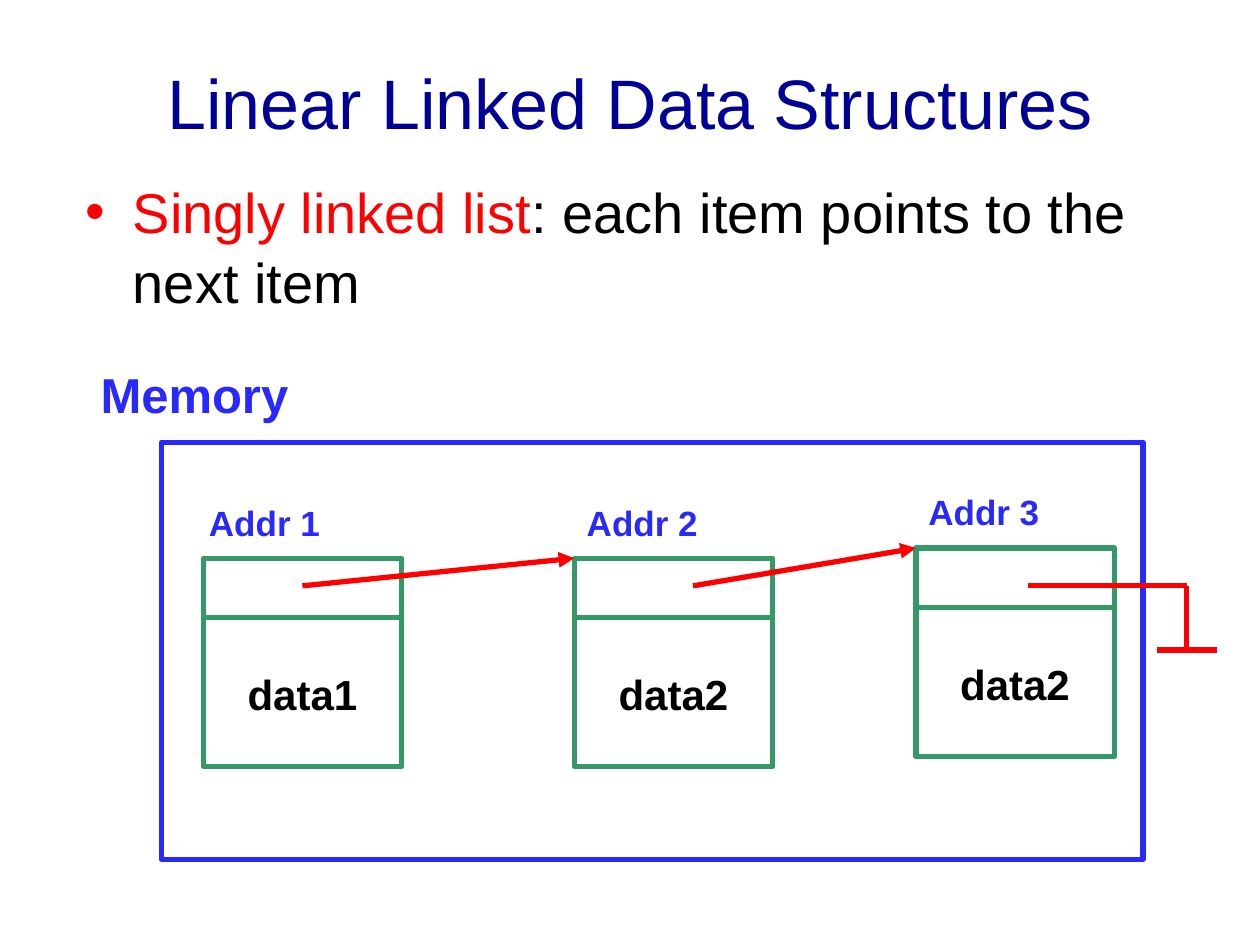
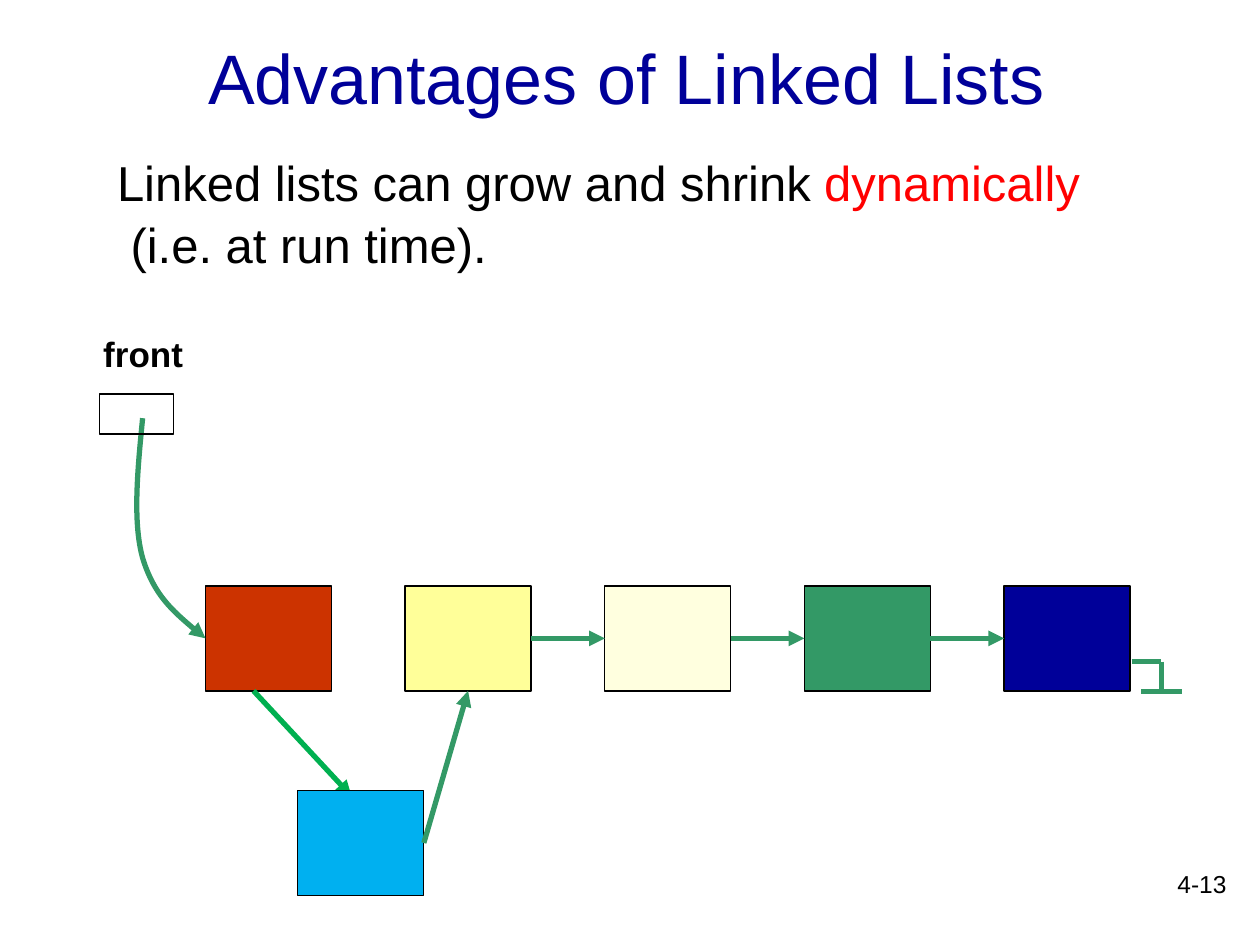
from lxml import etree
from pptx import Presentation
from pptx.dml.color import RGBColor
from pptx.enum.shapes import MSO_CONNECTOR, MSO_SHAPE
from pptx.enum.text import MSO_ANCHOR, PP_ALIGN
from pptx.oxml.ns import qn
from pptx.util import Pt

STRAIGHT = MSO_CONNECTOR.STRAIGHT
RECTANGLE = MSO_SHAPE.RECTANGLE
LEFT, CENTER, RIGHT = PP_ALIGN.LEFT, PP_ALIGN.CENTER, PP_ALIGN.RIGHT
TOP, MIDDLE = MSO_ANCHOR.TOP, MSO_ANCHOR.MIDDLE
SIDE_LEFT, SIDE_BOTTOM, SIDE_RIGHT = 1, 2, 3

FONT = "Arial"
NAVY, BLUE, GREEN = "000099", "2929FF", "339966"
RED, BLACK = "FF0000", "000000"
LINE_SPACING = 1.05
HEAVY, THIN = 3, 0.75


def color(hex_string):
    return RGBColor.from_string(hex_string)


def add_text(slide, box, paragraphs, size, bold=False, align=LEFT, anchor=TOP, wrap=True):
    frame = slide.shapes.add_textbox(*map(Pt, box)).text_frame
    frame_format = {"word_wrap": wrap, "vertical_anchor": anchor}
    for name, value in frame_format.items():
        setattr(frame, name, value)
    for index, runs in enumerate(paragraphs):
        paragraph = frame.paragraphs[0] if index == 0 else frame.add_paragraph()
        paragraph.alignment = align
        paragraph.line_spacing = LINE_SPACING
        for words, hue in runs:
            run = paragraph.add_run()
            run.text = words
            run_format = {"name": FONT, "size": Pt(size), "bold": bold}
            for name, value in run_format.items():
                setattr(run.font, name, value)
            run.font.color.rgb = color(hue)
    return frame


def add_label(slide, box, words, size, hue):
    add_text(slide, box, [[(words, hue)]], size, bold=True, wrap=False)


def add_title(slide, box, words):
    add_text(slide, box, [[(words, NAVY)]], 40, align=CENTER, anchor=MIDDLE)


def style_shape(shape, line_hue, width, fill=None):
    shape.shadow.inherit = False
    if fill:
        shape.fill.solid()
        shape.fill.fore_color.rgb = color(fill)
    else:
        shape.fill.background()
    shape.line.color.rgb = color(line_hue)
    shape.line.width = Pt(width)


def add_box(slide, box, line_hue, width, fill=None):
    shape = slide.shapes.add_shape(RECTANGLE, *map(Pt, box))
    style_shape(shape, line_hue, width, fill)
    return shape


def add_arrowhead(stroke):
    etree.SubElement(stroke.get_or_add_ln(), qn("a:tailEnd"), type="triangle")


def add_line(slide, start, end, hue, arrow=False):
    connector = slide.shapes.add_connector(STRAIGHT, *map(Pt, (*start, *end)))
    connector.line.color.rgb = color(hue)
    connector.line.width = Pt(HEAVY)
    if arrow:
        add_arrowhead(connector)
    etree.SubElement(connector._element.spPr, qn("a:effectLst"))
    return connector


def join(slide, source, source_side, target, target_side):
    link = add_line(slide, (0, 0), (0, 0), GREEN, arrow=True)
    link.begin_connect(source, source_side)
    link.end_connect(target, target_side)


def add_null_end(slide, start, run, drop, bar, hue):
    x, y = start
    corner, foot = (x + run, y), (x + run, y + drop)
    add_line(slide, start, corner, hue)
    add_line(slide, corner, foot, hue)
    add_line(slide, (foot[0] - bar / 2, foot[1]), (foot[0] + bar / 2, foot[1]), hue)


def add_curve(slide, points, hue):
    start, *rest = [tuple(map(Pt, point)) for point in points]
    builder = slide.shapes.build_freeform(*start)
    builder.add_line_segments(rest, close=False)
    curve = builder.convert_to_shape()
    segments = list(curve._element.iter(qn("a:lnTo")))
    for first in range(0, len(segments), 3):
        bezier = etree.Element(qn("a:cubicBezTo"))
        segments[first].addprevious(bezier)
        for segment in segments[first:first + 3]:
            bezier.append(segment[0])
            segment.getparent().remove(segment)
    style_shape(curve, hue, HEAVY)
    add_arrowhead(curve)


def add_bulleted_definition(slide, box):
    runs = [("Singly linked list", RED), (": each item points to the next item", BLACK)]
    definition = add_text(slide, box, [runs], 32)
    properties = definition.paragraphs[0]._p.get_or_add_pPr()
    properties.set("marL", str(Pt(27)))
    properties.set("indent", str(Pt(-27)))
    bullet_color = etree.SubElement(properties, qn("a:buClr"))
    etree.SubElement(bullet_color, qn("a:srgbClr"), val=RED)
    etree.SubElement(properties, qn("a:buFont"), typeface=FONT)
    etree.SubElement(properties, qn("a:buChar"), char="•")


def add_memory_node(slide, box, address, address_shift, data):
    x, y, width, height = box
    divider = y + 34
    add_box(slide, box, GREEN, HEAVY)
    add_line(slide, (x, divider), (x + width, divider), GREEN)
    add_label(slide, (x + 18.2, y + 58.3, 77, 36), data, 24, BLACK)
    add_label(slide, (x + address_shift, y - 37.4, 77.8, 31.7), address, 20, BLUE)


def add_memory_diagram(slide, box):
    left, top, width, height = box
    add_label(slide, (left - 41.8, top - 49.7, 121.7, 41), "Memory", 28, BLUE)
    add_box(slide, box, BLUE, HEAVY)
    nodes = [
        (24, 66.3, "Addr 1", -3.9, "data1", 80.6),
        (236, 66.3, "Addr 2", 0, "data2", 303.8),
        (431.2, 60.5, "Addr 3", 0, "data2", 495.3),
    ]
    pointer_y = top + 82.1
    for x, y, address, shift, data, _ in nodes:
        add_memory_node(slide, (left + x, top + y, 113.4, 119), address, shift, data)
    for node, following in zip(nodes, nodes[1:]):
        target = (left + following[0], top + following[1])
        add_line(slide, (left + node[-1], pointer_y), target, RED, arrow=True)
    add_null_end(slide, (left + nodes[-1][-1], pointer_y), 90.7, 36.7, 34.6, RED)


def add_growing_list(slide, box):
    left, top, width, height = box
    node_width, node_height, pitch = 72, 60, 114.1
    row_x, row_y = left + 60.5, top + 109.6
    fills = ["CC3300", "FFFF99", "FFFFDF", GREEN, NAVY]
    row = [
        add_box(slide, (row_x + i * pitch, row_y, node_width, node_height), BLACK, THIN, fill)
        for i, fill in enumerate(fills)
    ]
    add_line(slide, (left + 88, row_y + node_height), (left + 144, top + 229.8),
             "00B050", arrow=True)
    for source, target in zip(row[1:], row[2:]):
        join(slide, source, SIDE_RIGHT, target, SIDE_LEFT)
    add_label(slide, (left - 5, top - 40, 60, 31.7), "front", 20, BLACK)
    curve = [(24.6, 13.8), (21.7, 43.3), (18.8, 72.8), (24.6, 93.7),
             (31, 114.6), (45.4, 127.5), (60.5, 139.6)]
    add_curve(slide, [(left + x, top + y) for x, y in curve], GREEN)
    add_box(slide, (left, top, 42.2, 22.8), BLACK, THIN)
    add_null_end(slide, (left + 589.8, row_y + 43.3), 17, 17, 23, GREEN)
    inserted = add_box(slide, (left + 113.3, top + 226.5, node_width, node_height),
                       BLACK, THIN, "00B0F0")
    join(slide, inserted, SIDE_RIGHT, row[1], SIDE_BOTTOM)


def build_singly_linked(slide):
    add_title(slide, (54, 12, 612, 90), "Linear Linked Data Structures")
    add_bulleted_definition(slide, (41.8, 95.8, 612, 372))
    add_memory_diagram(slide, (92.2, 252.7, 561, 238.3))


def build_advantages(slide):
    add_text(slide, (558, 492, 150, 36), [[("4-13", BLACK)]], 14, align=RIGHT)
    add_title(slide, (51.8, 6, 612, 73.4), "Advantages of Linked Lists")
    add_growing_list(slide, (56.9, 225.2, 618, 287))
    claim = [
        [("Linked lists can grow and shrink ", BLACK), ("dynamically", RED)],
        [(" (i.e. at run time).", BLACK)],
    ]
    add_text(slide, (59.8, 82.1, 564.5, 75), claim, 28, wrap=False)


def main():
    deck = Presentation()
    deck.slide_width, deck.slide_height = Pt(720), Pt(540)
    blank = deck.slide_layouts[6]
    for build in (build_singly_linked, build_advantages):
        build(deck.slides.add_slide(blank))
    deck.save("out.pptx")


if __name__ == "__main__":
    main()
